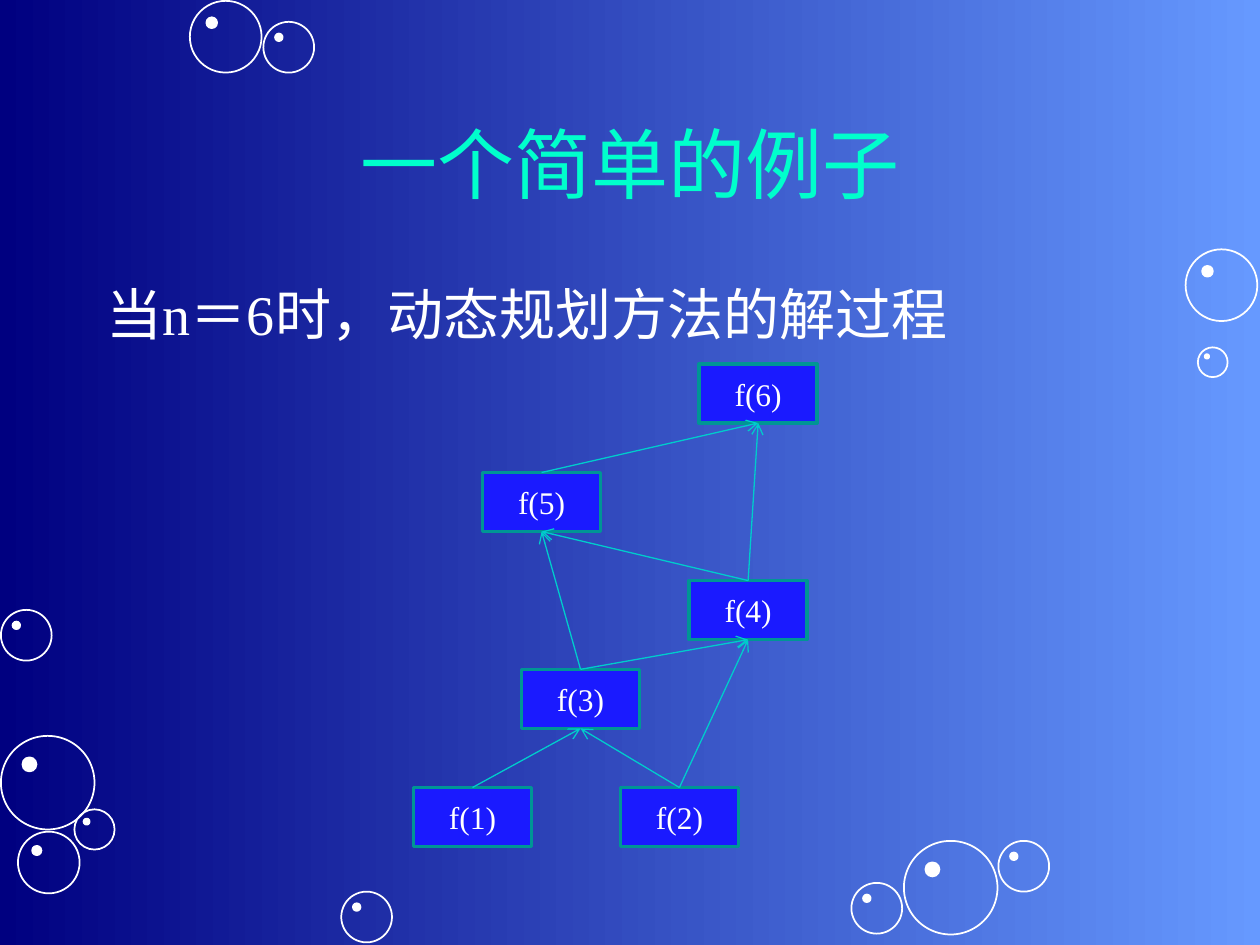
import pptx
import pptx.util
import pptx.dml.color
import pptx.enum.shapes
import pptx.enum.text
import pptx.oxml.ns
from lxml import etree

Pt = pptx.util.Pt
SHAPE = pptx.enum.shapes.MSO_SHAPE
ALIGN = pptx.enum.text.PP_ALIGN
ANCHOR = pptx.enum.text.MSO_ANCHOR

FONT = "Times New Roman"
WHITE = "FFFFFF"
TITLE = "一个简单的例子"
STATEMENT = "当n＝6时，动态规划方法的解过程"
BACKGROUND = ["000080", "6699FF"]

BUBBLES = [
    (0.5, 420.5, 53.5), (42.5, 462.5, 23), (10.25, 475.25, 35.25),
    (195, 509.5, 29), (0.5, 348.5, 29), (516.5, 480.5, 53.5),
    (486.5, 504.5, 29), (570.5, 480.5, 29), (677.5, 142.5, 41),
    (684.5, 198.5, 17), (108.5, 0.5, 41), (150.5, 12.5, 29),
]
GLINT_OFFSET = 0.23
GLINT_SIZE = 0.15

NODE_WIDTH, NODE_HEIGHT = 67.5, 33.75
NODES = {
    1: (236.25, 450), 2: (354.5, 450), 3: (298, 382.5),
    4: (393.75, 331.75), 5: (275.75, 270), 6: (399.5, 208),
}
ARROWS = [(2, 3), (1, 3), (3, 5), (2, 4), (3, 4), (4, 5), (4, 6), (5, 6)]


def color(value):
    return pptx.dml.color.RGBColor.from_string(value)


def add_block(slide, kind, left, top, width, height, fill, line, weight):
    shape = slide.shapes.add_shape(kind, Pt(left), Pt(top), Pt(width), Pt(height))
    shape.shadow.inherit = False
    if fill:
        shape.fill.solid()
        shape.fill.fore_color.rgb = color(fill)
    else:
        shape.fill.background()
    shape.line.color.rgb = color(line)
    shape.line.width = Pt(weight)
    return shape


def write(shape, text, size, ink, align, anchor):
    frame = shape.text_frame
    frame.word_wrap = True
    frame.vertical_anchor = anchor
    para = frame.paragraphs[0]
    para.alignment = align
    span = para.add_run()
    span.text = text
    span.font.name = FONT
    span.font.size = Pt(size)
    span.font.color.rgb = color(ink)
    return para


def add_bubble(slide, left, top, size):
    add_block(slide, SHAPE.OVAL, left, top, size, size, None, WHITE, 1)
    shift, glint = size * GLINT_OFFSET, size * GLINT_SIZE
    add_block(slide, SHAPE.OVAL, left + shift, top + shift, glint, glint, WHITE, WHITE, 1)


def add_node(slide, number):
    left, top = NODES[number]
    node = add_block(slide, SHAPE.RECTANGLE, left, top, NODE_WIDTH, NODE_HEIGHT,
                     "1A1AFF", "009595", 2)
    write(node, f"f({number})", 18, WHITE, ALIGN.CENTER, ANCHOR.MIDDLE)


def add_arrow(slide, source, target):
    (x1, y1), (x2, y2) = NODES[source], NODES[target]
    half = NODE_WIDTH / 2
    arrow = slide.shapes.add_connector(
        pptx.enum.shapes.MSO_CONNECTOR.STRAIGHT,
        Pt(x1 + half), Pt(y1), Pt(x2 + half), Pt(y2 + NODE_HEIGHT))
    arrow.line.color.rgb = color("00CCCC")
    arrow.line.width = Pt(0.75)
    qn = pptx.oxml.ns.qn
    properties = arrow.element.spPr
    etree.SubElement(properties.find(qn("a:ln")), qn("a:tailEnd"), type="arrow")
    etree.SubElement(properties, qn("a:effectLst"))


def main():
    deck = pptx.Presentation()
    deck.slide_width, deck.slide_height = Pt(720), Pt(540)
    slide = deck.slides.add_slide(deck.slide_layouts[6])

    fill = slide.background.fill
    fill.gradient()
    fill.gradient_angle = 0
    for stop, value in zip(fill.gradient_stops, BACKGROUND):
        stop.color.rgb = color(value)

    for bubble in BUBBLES:
        add_bubble(slide, *bubble)

    title = slide.shapes.add_textbox(Pt(54), Pt(48), Pt(612), Pt(90))
    write(title, TITLE, 44, "00FFCC", ALIGN.CENTER, ANCHOR.MIDDLE)

    statement = slide.shapes.add_textbox(Pt(54), Pt(156), Pt(612), Pt(47))
    para = write(statement, STATEMENT, 32, WHITE, ALIGN.LEFT, ANCHOR.TOP)
    layout = para._p.get_or_add_pPr()
    layout.set("marL", str(Pt(27)))
    layout.set("indent", str(-Pt(27)))

    for number in NODES:
        add_node(slide, number)
    for source, target in ARROWS:
        add_arrow(slide, source, target)

    deck.save("out.pptx")


if __name__ == "__main__":
    main()
